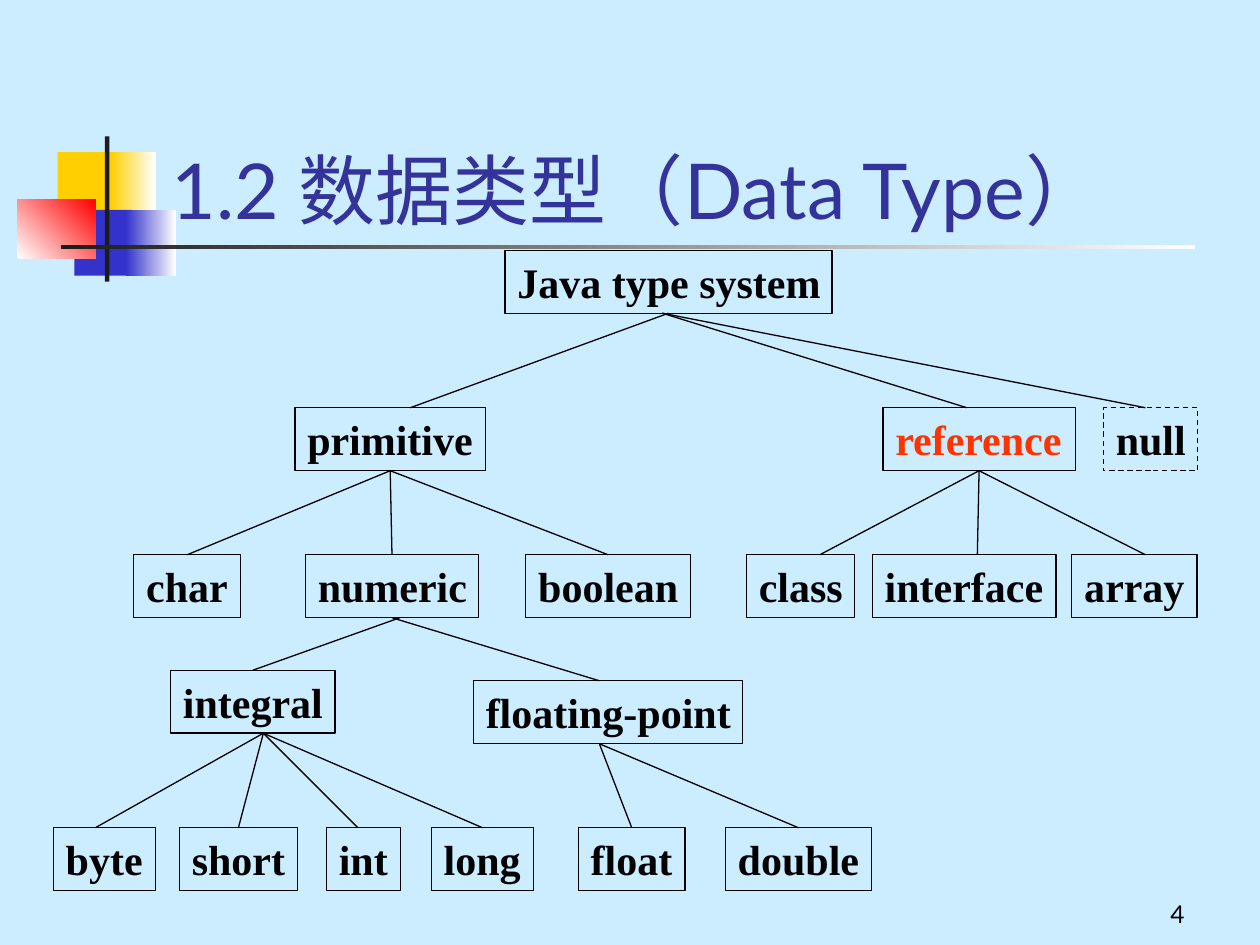
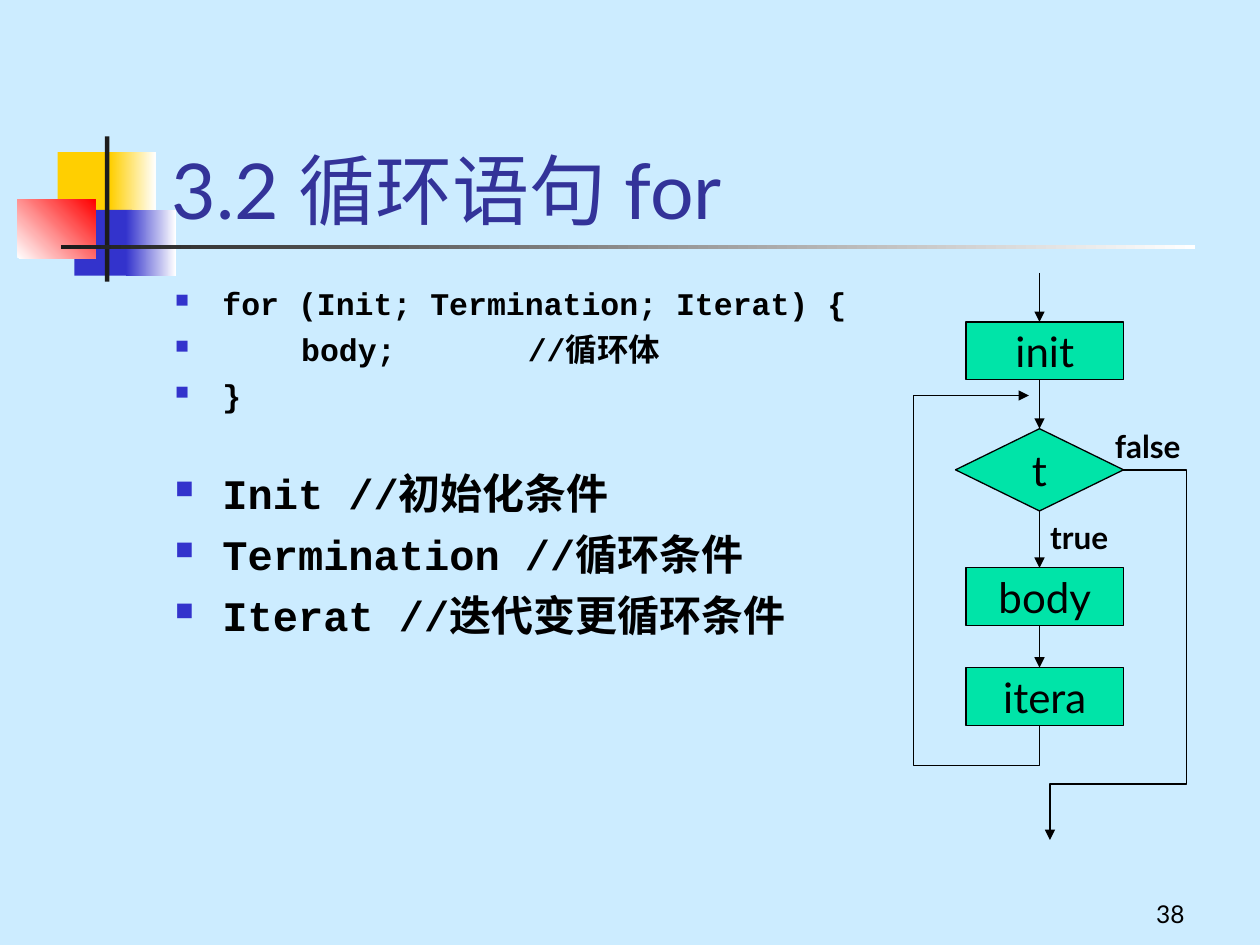
from lxml.etree import SubElement
from pptx import Presentation
from pptx.dml.color import RGBColor
from pptx.enum.dml import MSO_LINE
from pptx.enum.shapes import MSO_CONNECTOR, MSO_SHAPE
from pptx.enum.text import MSO_ANCHOR, PP_ALIGN
from pptx.oxml.ns import qn
from pptx.util import Pt

# Shared look
SKY, WHITE, BLACK, INK = "CCECFF", "FFFFFF", "000000", "1C1C1C"
GOLD, BLUE, RED = "FFCF01", "3333CC", "FF0000"
NAVY, CORAL, MINT = "333399", "FF3300", "00E4A8"
SANS, SERIF, MONO = "Lato", "Times New Roman", "Courier New"
TOP, BASE = 0, 2  # connection sites


def tint(code):
    return RGBColor.from_string(code)


def write(shape, text, size=24, font=SANS, color=BLACK, bold=False,
          align=PP_ALIGN.LEFT, anchor=MSO_ANCHOR.TOP, wrap=False,
          first=True, before=0):
    """Put one paragraph into a shape and return it."""
    frame = shape.text_frame
    frame.word_wrap, frame.vertical_anchor = wrap, anchor
    para = frame.paragraphs[0] if first else frame.add_paragraph()
    para.alignment, para.space_before = align, Pt(before)
    run = para.add_run()
    run.text = text
    run.font.size, run.font.name, run.font.bold = Pt(size), font, bold
    run.font.color.rgb = tint(color)
    return para


def label(slide, box, text, **fmt):
    return write(slide.shapes.add_textbox(*map(Pt, box)), text, **fmt)


def paint(shape, fill=None, edge=None):
    """Fill is None, one colour, or (start, end, angle)."""
    shape.shadow.inherit = False
    if fill is None:
        shape.fill.background()
    elif isinstance(fill, str):
        shape.fill.solid()
        shape.fill.fore_color.rgb = tint(fill)
    else:
        shape.fill.gradient()
        shape.fill.gradient_angle = fill[2]
        for stop, code in zip(shape.fill.gradient_stops, fill):
            stop.color.rgb = tint(code)
    if edge:
        shape.line.color.rgb = tint(edge)
        shape.line.width = Pt(0.75)
    else:
        shape.line.fill.background()


def block(slide, box, fill=None, edge=None, kind=MSO_SHAPE.RECTANGLE):
    shape = slide.shapes.add_shape(kind, *map(Pt, box))
    paint(shape, fill, edge)
    return shape


def arrow(shape):
    SubElement(shape.line._get_or_add_ln(), qn("a:tailEnd"), type="triangle")


def line(slide, x1, y1, x2, y2):
    wire = slide.shapes.add_connector(
        MSO_CONNECTOR.STRAIGHT, Pt(x1), Pt(y1), Pt(x2), Pt(y2))
    wire.line.color.rgb = tint(BLACK)
    wire.line.width = Pt(0.75)
    SubElement(wire._element.spPr, qn("a:effectLst"))
    return wire


def route(slide, x, y, points):
    """Draw a bent line that ends in an arrowhead."""
    spots = [(Pt(x + a), Pt(y + b)) for a, b in points]
    pen = slide.shapes.build_freeform(*spots[0])
    pen.add_line_segments(spots[1:], close=False)
    shape = pen.convert_to_shape()
    paint(shape, edge=BLACK)
    arrow(shape)


def mark(slide, x, y):
    """Coloured squares with the cross of two bars."""
    parts = [
        (23, 9, 35, 37, GOLD),
        (53, 9, 26, 37, (GOLD, WHITE, 0)),
        (32.5, 42, 33, 37.5, BLUE),
        (62, 42, 28.5, 37.5, (BLUE, WHITE, 0)),
        (0, 36, 44.5, 33.5, (WHITE, RED, 45)),
        (50, 0, 2.5, 83, INK),
        (25, 62, 648, 2.5, (INK, WHITE, 0)),
    ]
    for left, top, wide, high, fill in parts:
        block(slide, (x + left, y + top, wide, high), fill)


def start(deck, title, page):
    """Add a slide with background, mark, page number and title."""
    slide = deck.slides.add_slide(deck.slide_layouts[6])
    slide.background.fill.solid()
    slide.background.fill.fore_color.rgb = tint(SKY)
    mark(slide, 10, 78)
    label(slide, (534, 498, 150, 36), page, size=14, wrap=True,
          align=PP_ALIGN.RIGHT, anchor=MSO_ANCHOR.BOTTOM)
    label(slide, (91, 48, 613.5, 90), title, size=44, color=NAVY,
          anchor=MSO_ANCHOR.BOTTOM, wrap=True)
    return slide


def tree(slide, x, y):
    """Type hierarchy: boxes in levels, then the branches."""
    high = 36
    levels = [
        (0, [("Java type system", 258, 187)]),
        (90, [("primitive", 138, 109), ("reference", 474, 110),
              ("null", 600, 54)]),
        (174, [("char", 46, 61), ("numeric", 144, 99), ("boolean", 270, 94),
               ("class", 396, 62), ("interface", 468, 105),
               ("array", 582, 71.5)]),
        (240, [("integral", 67, 94)]),
        (246, [("floating-point", 240, 154)]),
        (330, [("byte", 0, 58.5), ("short", 72, 67.5), ("int", 156, 42.5),
               ("long", 216, 58.5), ("float", 300, 61),
               ("double", 384, 83.5)]),
    ]
    nodes = {}
    for top, row in levels:
        for name, left, wide in row:
            node = block(slide, (x + left, y + top, wide, high), edge=BLACK)
            write(node, name, font=SERIF, bold=True,
                  color=CORAL if name == "reference" else BLACK)
            nodes[name] = node, left + wide / 2, top
    nodes["null"][0].line.dash_style = MSO_LINE.DASH

    # Parent, x of its end, then each child with the x of its end
    fans = [
        ("Java type system", 354, [("primitive", 204)]),
        ("Java type system", 348, [("null", 624), ("reference", 522)]),
        ("primitive", 192, [("char", 78), ("numeric", 192),
                            ("boolean", 318)]),
        ("reference", 528, [("class", 438), ("interface", 528),
                            ("array", 624)]),
        ("numeric", 198, [("integral", 114)]),
        ("numeric", 192, [("floating-point", 312)]),
        ("integral", 120, [("byte", 24), ("short", 108), ("int", 174),
                           ("long", 246)]),
        ("floating-point", 312, [("float", 330), ("double", 426)]),
    ]
    near = 2.5  # ends this close to the middle are joined
    for parent, out, kids in fans:
        source, mid, top = nodes[parent]
        for kid, into in kids:
            target, centre, head = nodes[kid]
            wire = line(slide, x + out, y + top + high, x + into, y + head)
            if abs(out - mid) <= near:
                wire.begin_connect(source, BASE)
            if abs(into - centre) <= near:
                wire.end_connect(target, TOP)


def code(slide, box):
    """Bulleted loop syntax and the meaning of its parts."""
    rows = [
        ("for (Init; Termination; Iterat) {", 18, 4.5),
        ("\tbody;\t//循环体", 18, 4.5),
        ("}", 18, 4.5),
        ("Init //初始化条件", 24, 31),
        ("Termination //循环条件", 24, 6),
        ("Iterat //迭代变更循环条件", 24, 6),
    ]
    shape = slide.shapes.add_textbox(*map(Pt, box))
    for i, (text, size, before) in enumerate(rows):
        para = write(shape, text, size=size, font=MONO, bold=True, wrap=True,
                     first=i == 0, before=before)
        props = para._p.get_or_add_pPr()
        props.set("marL", str(Pt(27)))
        props.set("indent", str(Pt(-27)))
        SubElement(SubElement(props, qn("a:buClr")), qn("a:srgbClr"), val=BLUE)
        SubElement(props, qn("a:buSzPct"), val="60000")
        SubElement(props, qn("a:buChar"), char="■")
        tabs = SubElement(props, qn("a:tabLst"))
        for stop in (72, 201.5):
            SubElement(tabs, qn("a:tab"), pos=str(Pt(stop)), algn="l")


def flow(slide, x, y):
    """Flow chart of the loop."""
    axis, high = 72, 33
    # Exit and return paths
    route(slide, x, y, [(120, 112.5), (156, 112.5), (156, 292),
                        (78, 292), (78, 324)])
    route(slide, x, y, [(axis, 253), (axis, 281.5), (0, 281.5),
                        (0, 70), (66, 70)])
    # Steps and test
    steps = {"init": 28, "body": 168.5, "itera": 225.5}
    for name, top in steps.items():
        step = block(slide, (x + 30, y + top, 90, high), MINT, BLACK)
        write(step, name, align=PP_ALIGN.CENTER, anchor=MSO_ANCHOR.MIDDLE)
    test = block(slide, (x + 24, y + 89, 96, 47), MINT, BLACK,
                 MSO_SHAPE.DIAMOND)
    write(test, "t", align=PP_ALIGN.CENTER, anchor=MSO_ANCHOR.MIDDLE)
    # Arrows down the axis
    spans = [(0, steps["init"]), (steps["init"] + high, 89),
             (136, steps["body"]), (steps["body"] + high, steps["itera"])]
    wires = [line(slide, x + axis, y + a, x + axis, y + b) for a, b in spans]
    for wire in wires:
        arrow(wire)
    wires[1].end_connect(test, TOP)
    wires[2].begin_connect(test, BASE)
    # Branch labels
    for text, left, top, wide in (("false", 108, 84.5, 57),
                                  ("true", 71, 136.5, 52.5)):
        label(slide, (x + left, y + top, wide, 29), text, size=18, bold=True)


def main():
    deck = Presentation()
    deck.slide_width, deck.slide_height = Pt(720), Pt(540)
    tree(start(deck, "1.2 数据类型（Data Type）", "4"), 30.5, 143)
    loop = start(deck, "3.2 循环语句 for", "38")
    code(loop, (93, 159, 422.5, 324))
    flow(loop, 522, 156)
    deck.save("out.pptx")


if __name__ == "__main__":
    main()
